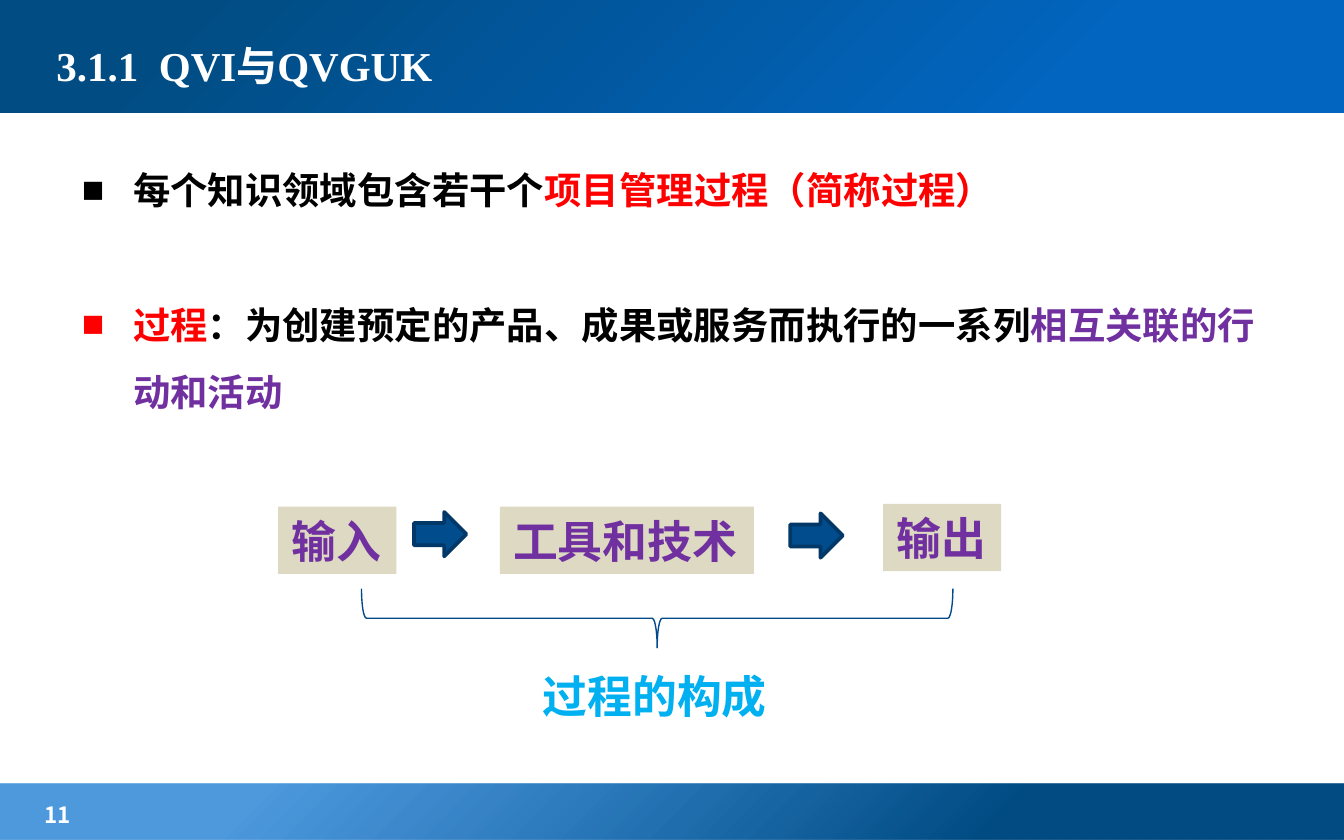
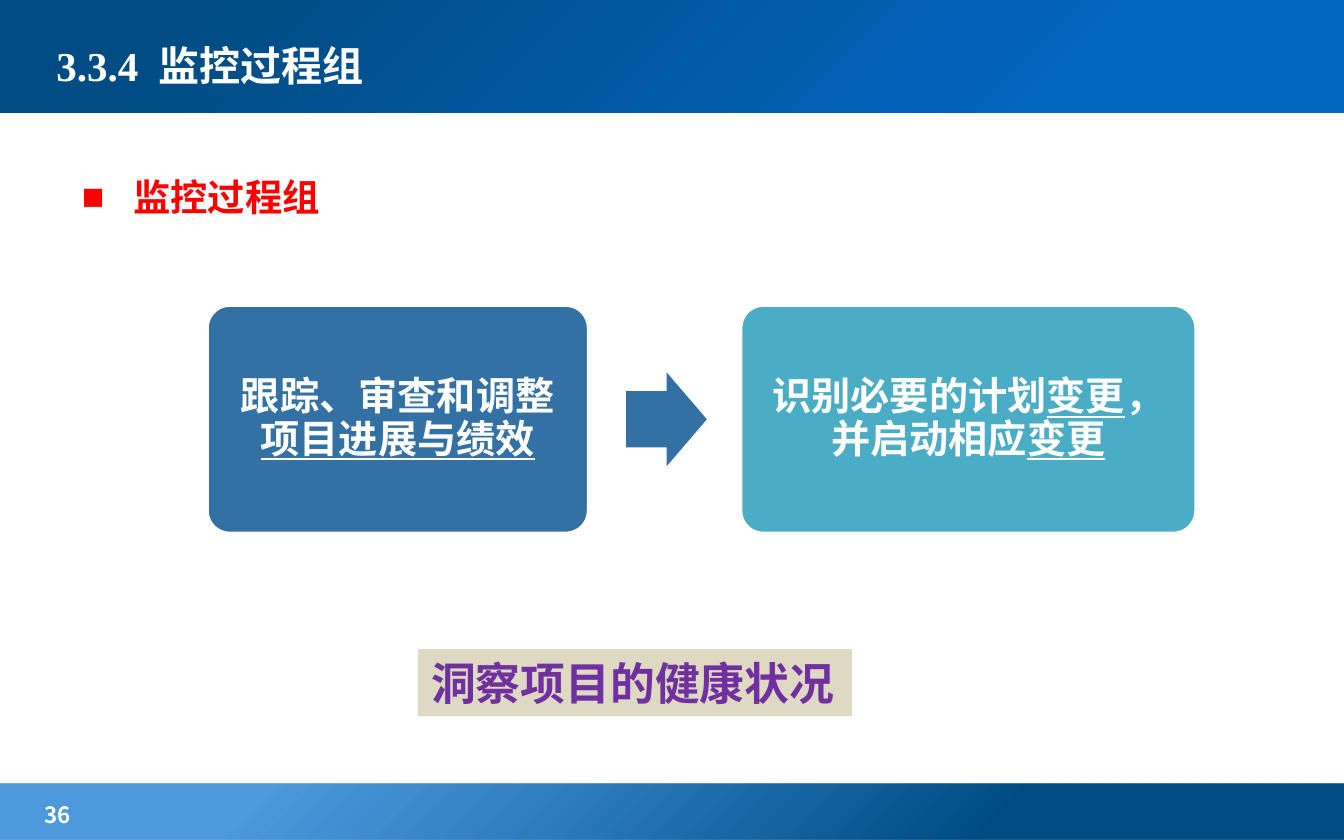
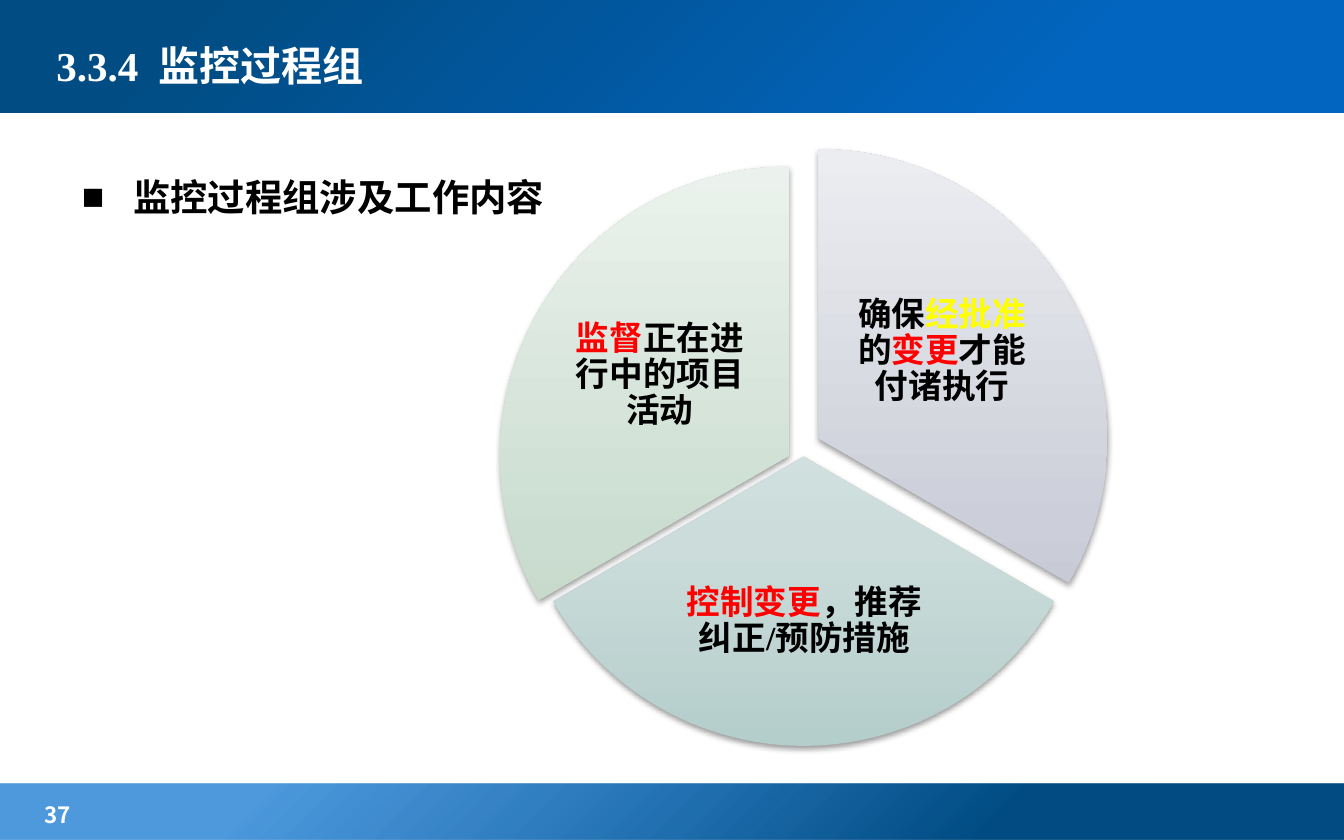
from lxml.etree import SubElement
from pptx import Presentation
from pptx.dml.color import RGBColor
from pptx.enum.shapes import MSO_SHAPE as Shape
from pptx.enum.text import MSO_ANCHOR as Anchor, MSO_AUTO_SIZE as AutoSize, PP_ALIGN as Align
from pptx.oxml import parse_xml
from pptx.oxml.ns import nsdecls, qn
from pptx.util import Inches, Pt

SERIF, SANS = "Times New Roman", "Noto Sans CJK SC"
WHITE, BLACK, RED, YELLOW = "FFFFFF", "000000", "FF0000", "FFFF00"
PURPLE, SKY, SAND = "7030A0", "00B0F0", "DDD9C3"
NAVY, NAVY_EDGE, BRACE, STEEL, TEAL = "014C8D", "013868", "004A8B", "3371A4", "4BACC6"

BANDS = [
    ((0, 5.83, 10, 0.42), [(26, "014C83", 100), (80, "026DCE", 70)]),
    ((0, -0.03, 10, 0.87), [(21, "0265BF", 100), (86, "014C83", 100)]),
]
CIRCLE = '<a:path path="circle"><a:fillToRect l="100000" t="100000"/></a:path>'
UPWARD = '<a:lin ang="16200000" scaled="0"/>'

PROCESS = {
    "page": 11, "title": "3.1.1  QVI与QVGUK", "top": 1.03, "font": SANS,
    "bullets": [
        [("每个知识领域包含若干个", BLACK), ("项目管理过程（简称过程）", RED)],
        [("过程", RED), ("：为创建预定的产品、成果或服务而执行的一系列", BLACK),
         ("相互关联的行动和活动", PURPLE)],
    ],
}
MONITORING = {
    "page": 36, "title": "3.3.4  监控过程组", "top": 1.08, "font": SERIF,
    "bullets": [[("监控过程组", RED)]],
}
CONTENTS = {
    "page": 37, "title": "3.3.4  监控过程组", "top": 1.08, "font": SERIF,
    "bullets": [[("监控过程组涉及工作内容", BLACK)]],
}

STEPS = [("输入", (2.07, 3.77, 0.88, 0.5)), ("工具和技术", (3.72, 3.77, 1.89, 0.5)),
         ("输出", (6.57, 3.75, 0.88, 0.5))]
STEP_ARROWS = [(3.08, 3.81, 0.39, 0.33), (5.88, 3.82, 0.39, 0.33)]

CARDS = [
    ((1.54, 2.27, 2.84, 1.7), STEEL,
     [("跟踪、审查和调整", WHITE), ("项目进展与绩效", WHITE, True)]),
    ((5.51, 2.27, 3.39, 1.7), TEAL,
     [("识别必要的计划", WHITE), ("变更", WHITE, True),
      ("，并启动相应", WHITE), ("变更", WHITE, True)]),
]

PIE_SIZE = 4.3
SECTORS = [
    ((3.94, 1.11), 270, ("B6BBCA", "CCCFD9", "ECEDF1"), (6.28, 1.9, 1.46, 1.43),
     [("确保", BLACK), ("经批准", YELLOW), ("的", BLACK), ("变更", RED), ("才能付诸执行", BLACK)]),
    ((3.83, 1.25), 30, ("B4CECB", "CBDCDA", "EBF2F1"), (5.01, 3.96, 1.95, 1.33),
     [("控制变更", RED), ("，推荐纠正/预防措施", BLACK)]),
    ((3.72, 1.24), 150, ("B5CFBB", "CBDDD0", "EBF2ED"), (4.18, 2.08, 1.46, 1.43),
     [("监督", RED), ("正在进行中的项目活动", BLACK)]),
]


def rgb(value):
    return RGBColor.from_string(value)


def place(shape, box):
    shape.left, shape.top, shape.width, shape.height = map(Inches, box)


def write(paragraph, runs, size, font=SERIF, align=Align.LEFT, spacing=1.0):
    """Fill a paragraph with (text, colour, underlined) runs; the first sets its colour."""
    base = runs[0][1]
    style = paragraph.font
    style.size, style.bold, style.name = Pt(size), True, font
    style.color.rgb = rgb(base)
    SubElement(paragraph._p.pPr.find(qn("a:defRPr")), qn("a:ea"), typeface=SANS)
    paragraph.alignment, paragraph.line_spacing = align, spacing
    paragraph.space_before = Pt(0)
    for text, colour, *underlined in runs:
        run = paragraph.add_run()
        run.text = text
        if colour != base:
            run.font.color.rgb = rgb(colour)
        if underlined:
            run.font.underline = True


def set_insets(frame, inset):
    frame.margin_left = frame.margin_right = frame.margin_top = frame.margin_bottom = Inches(inset)


def add_shape(slide, kind, box, fill=None, line=None, width=2):
    shape = slide.shapes.add_shape(kind, *map(Inches, box))
    shape.shadow.inherit = False
    if fill:
        shape.fill.solid()
        shape.fill.fore_color.rgb = rgb(fill)
    else:
        shape.fill.background()
    if line:
        shape.line.color.rgb = rgb(line)
        shape.line.width = Pt(width)
    else:
        shape.line.fill.background()
    return shape


def add_label(slide, box, runs, size=24, fill=None):
    label = slide.shapes.add_textbox(*map(Inches, box))
    label.text_frame.word_wrap = False
    label.text_frame.auto_size = AutoSize.SHAPE_TO_FIT_TEXT
    if fill:
        label.fill.solid()
        label.fill.fore_color.rgb = rgb(fill)
    write(label.text_frame.paragraphs[0], runs, size)


def set_gradient(shape, stops, direction):
    """Give the shape a gradient of (position, colour, opacity) stops."""
    shape.fill.gradient()
    stop_xml = "".join(
        f'<a:gs pos="{position * 1000}"><a:srgbClr val="{colour}">'
        f'<a:alpha val="{opacity * 1000}"/></a:srgbClr></a:gs>'
        for position, colour, opacity in stops)
    properties = shape.element.spPr
    properties.replace(properties.find(qn("a:gradFill")), parse_xml(
        f'<a:gradFill {nsdecls("a")} rotWithShape="1"><a:gsLst>{stop_xml}</a:gsLst>'
        f'{direction}</a:gradFill>'))


def add_shadow(shape):
    shape.element.spPr.find(qn("a:effectLst")).append(parse_xml(
        f'<a:outerShdw {nsdecls("a")} blurRad="40000" dist="20000" dir="5400000" rotWithShape="0">'
        '<a:srgbClr val="000000"><a:alpha val="38000"/></a:srgbClr></a:outerShdw>'))


def add_bullet(paragraph):
    properties = paragraph._p.pPr
    properties.set("marL", str(Inches(0.38)))
    properties.set("indent", str(-Inches(0.38)))
    style = properties.find(qn("a:defRPr"))
    for tag, name, value in (("a:buFont", "typeface", SERIF), ("a:buChar", "char", "■")):
        bullet = SubElement(properties, qn(tag))
        bullet.set(name, value)
        style.addprevious(bullet)


def prepare_layout(presentation):
    """Return the title and body layout without its footer placeholders."""
    layout = presentation.slide_layouts[1]
    for placeholder in list(layout.placeholders):
        if placeholder.placeholder_format.idx >= 10:
            layout.shapes.element.remove(placeholder.element)
    return layout


def add_bands(slide, layout):
    """Draw the bands and move them to the layout that all slides share."""
    for index, (box, stops) in enumerate(BANDS):
        band = add_shape(slide, Shape.RECTANGLE, box)
        set_gradient(band, stops, CIRCLE)
        layout.shapes.element.insert(2 + index, band.element)


def add_slide(presentation, layout, content):
    slide = presentation.slides.add_slide(layout)
    title, body = slide.placeholders
    place(title, (0.32, 0.13, 6.38, 0.71))
    title.text_frame.vertical_anchor = Anchor.MIDDLE
    write(title.text_frame.paragraphs[0], [(content["title"], WHITE)], 22)

    place(body, (0.51, content["top"], 8.98, 3.9))
    frame = body.text_frame
    for index, runs in enumerate(content["bullets"]):
        paragraph = frame.add_paragraph() if index else frame.paragraphs[0]
        write(paragraph, runs, 20, content["font"], spacing=1.5)
        paragraph.space_before = Pt(36 if index else 0)
        add_bullet(paragraph)
    for placeholder in (title, body):
        placeholder.text_frame.auto_size = AutoSize.NONE

    number = slide.shapes.add_textbox(*map(Inches, (0.23, 5.91, 1.57, 0.26)))
    write(number.text_frame.paragraphs[0], [(str(content["page"]), WHITE)], 12, SANS)
    return slide


def draw_process(slide):
    for text, box in STEPS:
        add_label(slide, box, [(text, PURPLE)], fill=SAND)
    add_label(slide, (3.94, 4.93, 1.89, 0.5), [("过程的构成", SKY)])
    brace = add_shape(slide, Shape.LEFT_BRACE, (4.67, 2.4, 0.44, 4.4), line=BRACE, width=0.75)
    brace.rotation = 270
    for box in STEP_ARROWS:
        add_shape(slide, Shape.RIGHT_ARROW, box, NAVY, NAVY_EDGE)


def draw_cards(slide):
    add_label(slide, (3.11, 4.83, 3.23, 0.5), [("洞察项目的健康状况", PURPLE)], fill=SAND)
    for box, fill, runs in CARDS:
        card = add_shape(slide, Shape.ROUNDED_RECTANGLE, box, fill, WHITE)
        card.adjustments[0] = 0.1
        frame = card.text_frame
        frame.word_wrap = True
        set_insets(frame, 0.09)
        write(frame.paragraphs[0], runs, 21, align=Align.CENTER, spacing=0.9)
    arrow = add_shape(slide, Shape.RIGHT_ARROW, (4.66, 2.77, 0.6, 0.7), STEEL)
    arrow.adjustments[0] = 0.6


def draw_sectors(slide):
    """Draw three sectors of 120 degrees with their captions."""
    for corner, start, colours, caption_box, runs in SECTORS:
        sector = add_shape(slide, Shape.PIE, (*corner, PIE_SIZE, PIE_SIZE))
        for index, angle in enumerate((start, (start + 120) % 360)):
            sector.adjustments[index] = angle * 0.6
        stops = [(position, colour, 100) for position, colour in zip((0, 35, 100), colours)]
        set_gradient(sector, stops, UPWARD)
        add_shadow(sector)
        caption = slide.shapes.add_textbox(*map(Inches, caption_box))
        frame = caption.text_frame
        frame.word_wrap = True
        frame.vertical_anchor = Anchor.MIDDLE
        set_insets(frame, 0.03)
        write(frame.paragraphs[0], runs, 18, align=Align.CENTER, spacing=0.9)


def main():
    presentation = Presentation()
    presentation.slide_width, presentation.slide_height = Inches(10), Inches(6.25)
    layout = prepare_layout(presentation)
    pages = [(PROCESS, draw_process), (MONITORING, draw_cards), (CONTENTS, draw_sectors)]
    for content, draw in pages:
        slide = add_slide(presentation, layout, content)
        if content is PROCESS:
            add_bands(slide, layout)
        draw(slide)
    presentation.save("out.pptx")


if __name__ == "__main__":
    main()
